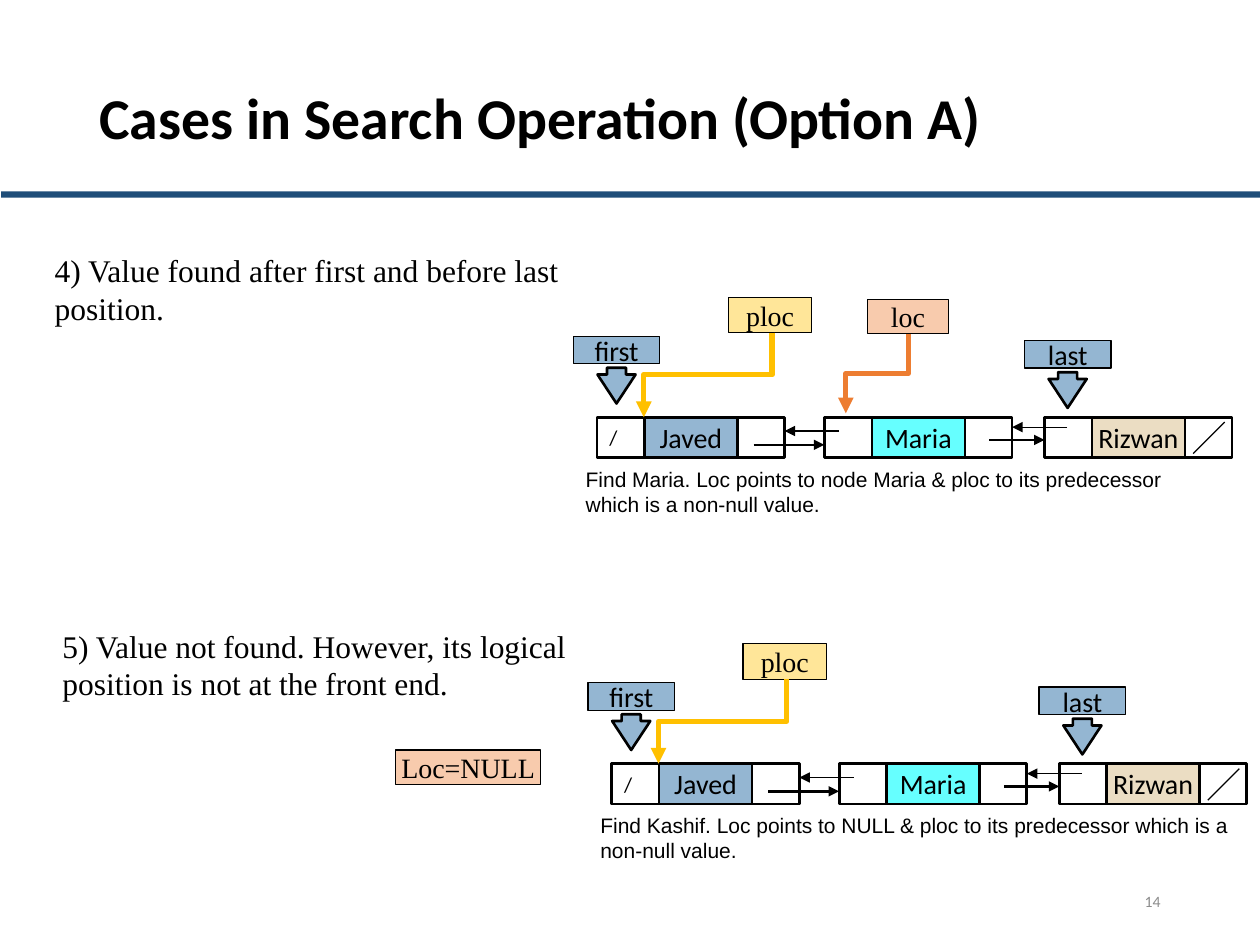
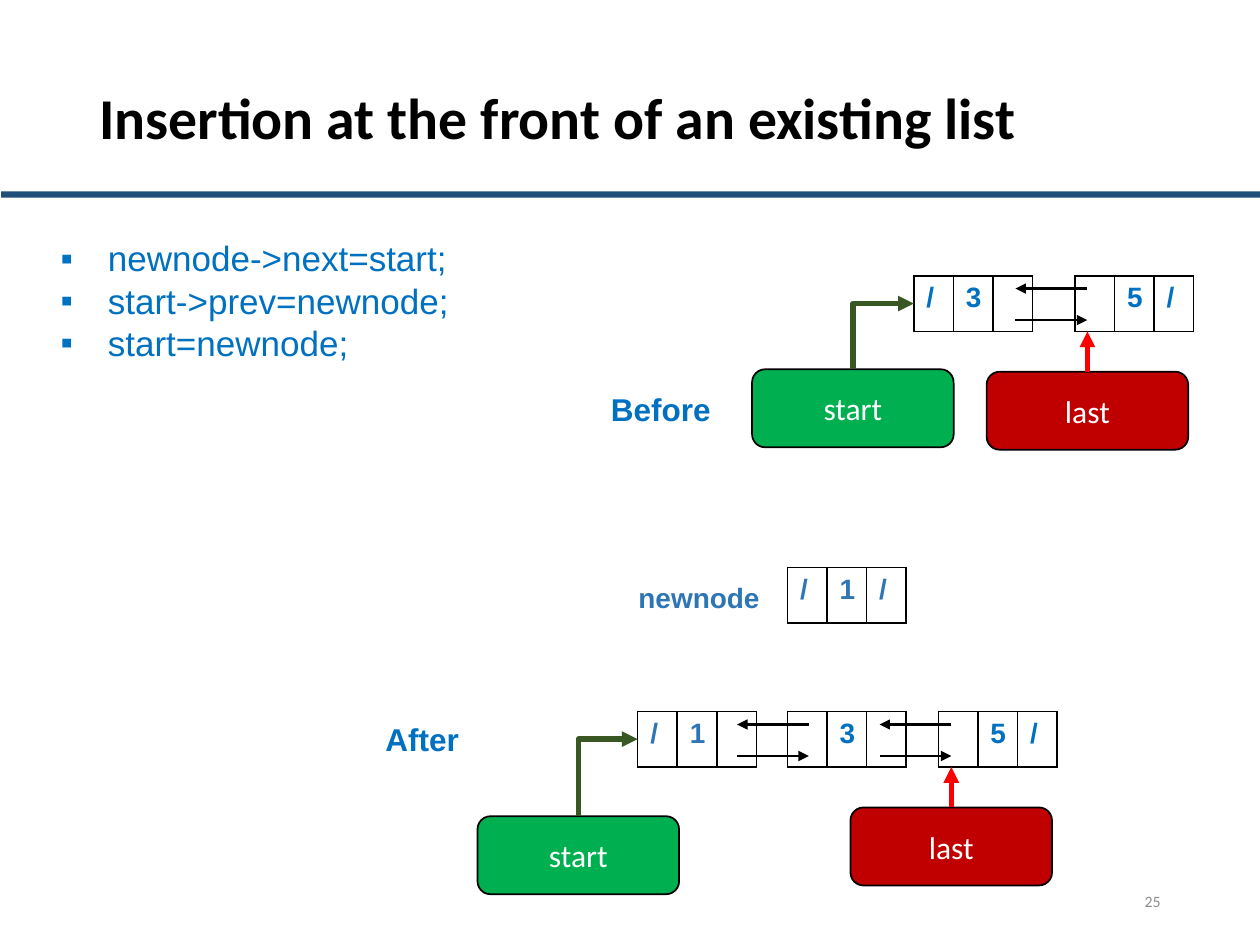
"""Builds two slides on searching and inserting in a doubly linked list."""
from lxml.etree import SubElement
from pptx import Presentation
from pptx.dml.color import RGBColor
from pptx.enum.shapes import MSO_CONNECTOR, MSO_SHAPE
from pptx.enum.text import MSO_ANCHOR, MSO_AUTO_SIZE, PP_ALIGN
from pptx.oxml.ns import qn
from pptx.util import Pt

COLOURS = {
    "black": "000000", "white": "FFFFFF", "grey": "8C8C8C", "band": "1F4E79",
    "steel": "94B6D2", "cyan": "66FFFF", "sand": "EBDDC3",
    "peach": "F8CBAD", "cream": "FFE699", "orange": "ED7D31", "amber": "FFC000",
    "blue": "0070C0", "soft blue": "2E75B6", "green": "00B050",
    "dark green": "385723", "dark red": "C00000", "red": "FF0000",
}
COLOURS = {name: RGBColor.from_string(value) for name, value in COLOURS.items()}
SERIF = "Times New Roman"


def put_box(page, kind, frame, text="", size=16, font="Calibri", fill=None, line=0.75,
            ink="black", align=PP_ALIGN.CENTER, bold=False, wrap=False):
    """Add a preset shape, or a text box when kind is None."""
    frame = [Pt(length) for length in frame]
    if kind is None:
        box = page.shapes.add_textbox(*frame)
    else:
        box = page.shapes.add_shape(kind, *frame)
        box.shadow.inherit = False
        if fill:
            box.fill.solid()
            box.fill.fore_color.rgb = COLOURS[fill]
        else:
            box.fill.background()
        if line:
            box.line.color.rgb = COLOURS["black"]
            box.line.width = Pt(line)
        else:
            box.line.fill.background()
    if text:
        box.text_frame.word_wrap = wrap
        box.text_frame.vertical_anchor = MSO_ANCHOR.MIDDLE
        para = box.text_frame.paragraphs[0]
        para.text = text
        para.alignment = align
        para.font.size = Pt(size)
        para.font.name = font
        para.font.bold = bold
        para.font.color.rgb = COLOURS[ink]
    return box


def draw_line(page, start, end, colour="black", width=1.5, bend=None, head=True):
    """Add a straight line, or an elbow that leaves its start vertically."""
    (x1, y1), (x2, y2) = start, end
    if bend:
        middle_x, middle_y = (x1 + x2) / 2, (y1 + y2) / 2
        run, rise = (y2 - y1) / 2, (x1 - x2) / 2
        x1, y1, x2, y2 = middle_x - run, middle_y - rise, middle_x + run, middle_y + rise
    kind = MSO_CONNECTOR.ELBOW if bend else MSO_CONNECTOR.STRAIGHT
    connector = page.shapes.add_connector(kind, Pt(x1), Pt(y1), Pt(x2), Pt(y2))
    connector.line.color.rgb = COLOURS[colour]
    connector.line.width = Pt(width)
    properties = connector.element.spPr
    if bend:
        properties.find(qn("a:xfrm")).set("rot", "5400000")
        properties.find(qn("a:prstGeom")).set("prst", bend)
    if head:
        SubElement(properties.find(qn("a:ln")), qn("a:tailEnd"), type="triangle")
    SubElement(properties, qn("a:effectLst"))
    return connector


deck = Presentation()
deck.slide_width, deck.slide_height = Pt(720), Pt(540)
search = deck.slides.add_slide(deck.slide_layouts[5])
insertion = deck.slides.add_slide(deck.slide_layouts[1])

band = put_box(search, MSO_SHAPE.RECTANGLE, (0.7, 109.4, 719.3, 3.6), fill="band", line=0)
band.element.nvSpPr.cNvPr.set("id", "20")
deck.slide_master.shapes.element.insert(2, band.element)

for page, heading, number in (
    (search, "Cases in Search Operation (Option A)", "14"),
    (insertion, "Insertion at the front of an existing list", "25"),
):
    title = page.shapes.title
    title.left, title.top, title.width, title.height = Pt(49.5), Pt(28.8), Pt(621), Pt(80.6)
    title.text_frame.text = heading
    title.text_frame.auto_size = MSO_AUTO_SIZE.NONE
    title.text_frame.vertical_anchor = MSO_ANCHOR.MIDDLE
    para = title.text_frame.paragraphs[0]
    para.alignment = PP_ALIGN.LEFT
    para.line_spacing = 0.9
    para.font.size = Pt(33)
    para.font.name = "Calibri"
    para.font.bold = True
    para.font.color.rgb = COLOURS["black"]
    put_box(page, None, (508.3, 500.4, 162, 28.8), number, 9, ink="grey", align=PP_ALIGN.RIGHT)

for left, top, case in (
    (24.2, 139.7, "4) Value found after first and before last position."),
    (28.6, 354.2, "5) Value not found. However, its logical position is not at the front end."),
):
    put_box(search, None, (left, top, 360, 51), case, 18, SERIF, align=PP_ALIGN.LEFT, wrap=True)

for dx, dy, caption in (
    (0, 0, "Find Maria. Loc points to node Maria & ploc to its predecessor "
           "which is a non-null value."),
    (8.4, 198, "Find Kashif. Loc points to NULL & ploc to its predecessor "
               "which is a non-null value."),
):
    put_box(search, None, (327.6 + dx, 262.8 + dy, 376.6, 36), caption, 12, "Arial",
            align=PP_ALIGN.LEFT, wrap=True)
    put_box(search, MSO_SHAPE.RECTANGLE, (416.2 + dx, 169.9 + dy, 47.7, 20.2), "ploc",
            font=SERIF, fill="cream")
    for left, name, fill, previous in (
        (341.2, "Javed", "steel", "/"), (471.2, "Maria", "cyan", ""), (596.9, "Rizwan", "sand", ""),
    ):
        put_box(search, MSO_SHAPE.RECTANGLE, (left + dx, 238.4 + dy, 107.2, 23), previous, 12,
                line=1.5, align=PP_ALIGN.LEFT)
        put_box(search, MSO_SHAPE.RECTANGLE, (left + 27 + dx, 238.4 + dy, 53.2, 23), name,
                fill=fill, line=1.5)
    for left, top, name in ((327.6, 192.1, "first"), (585.4, 194.6, "last")):
        put_box(search, MSO_SHAPE.RECTANGLE, (left + dx, top + dy, 49.5, 15.8), name, fill="steel")
        arrow = put_box(search, MSO_SHAPE.DOWN_ARROW,
                        (left + 13.8 + dx, top + 18.1 + dy, 21.8, 20.4), fill="steel", line=1.5)
        arrow.adjustments[1] = 0.81
    for x1, x2, y, width in (
        (430.6, 471, 254.2, 1.5), (565.2, 596.9, 251.4, 1.5),
        (609.8, 578.4, 244.1, 0.75), (479.5, 448.4, 246.3, 0.75),
    ):
        draw_line(search, (x1 + dx, y + dy), (x2 + dx, y + dy), width=width)
    draw_line(search, (699.8 + dx, 241.2 + dy), (681.8 + dx, 259.2 + dy), width=0.75, head=False)
    draw_line(search, (441.2 + dx, 190 + dy), (367.9 + dx, 238.4 + dy), "amber", 3,
              "bentConnector3")

put_box(search, MSO_SHAPE.RECTANGLE, (495.8, 171.2, 46.2, 19.6), "loc", font=SERIF, fill="peach")
draw_line(search, (519, 190.8), (483.3, 236.2), "orange", 3, "bentConnector3")
put_box(search, MSO_SHAPE.RECTANGLE, (226.1, 428.6, 82.8, 19.6), "Loc=NULL", font=SERIF,
        fill="peach")

steps = insertion.placeholders[1]
steps.left, steps.top, steps.width, steps.height = Pt(27.4), Pt(131.8), Pt(237.6), Pt(80)
steps.text_frame.text = "newnode->next=start;\nstart->prev=newnode;\nstart=newnode;"
steps.text_frame.auto_size = MSO_AUTO_SIZE.NONE
for para in steps.text_frame.paragraphs:
    properties = para._p.get_or_add_pPr()
    properties.set("marL", str(Pt(27)))
    properties.set("indent", str(-Pt(27)))
    SubElement(properties, qn("a:buChar"), char="▪")
    para.space_before = Pt(0)
    para.font.size = Pt(20)
    para.font.name = "Arial"
    para.font.color.rgb = COLOURS["blue"]

for frame, label, size, ink in (
    ((342, 219, 72, 28.8), "Before", 18, "blue"),
    ((213.1, 408, 56.9, 28.8), "After", 18, "blue"),
    ((357.8, 328.3, 84.2, 26.6), "newnode", 16, "soft blue"),
):
    put_box(insertion, None, frame, label, size, "Arial", ink=ink, align=PP_ALIGN.LEFT, bold=True)

for left, top, values, ink in (
    (522.2, 157.7, ("/", "3", ""), "blue"),
    (614.2, 157.7, ("", "5", "/"), "blue"),
    (450, 324.4, ("/", "1", "/"), "soft blue"),
    (364.4, 406.6, ("/", "1", ""), "soft blue"),
    (450, 406.6, ("", "3", ""), "blue"),
    (536.2, 406.6, ("", "5", "/"), "blue"),
):
    node = insertion.shapes.add_table(1, 3, Pt(left), Pt(top), Pt(67.8), Pt(31.7)).table
    node.first_row = node.horz_banding = False
    for column in node.columns:
        column.width = Pt(22.6)
    for cell, value in zip(node.iter_cells(), values):
        cell.fill.background()
        properties = cell._tc.get_or_add_tcPr()
        for index, side in enumerate(("lnL", "lnR", "lnT", "lnB")):
            border = SubElement(properties, qn(f"a:{side}"), w=str(Pt(1)))
            SubElement(SubElement(border, qn("a:solidFill")), qn("a:srgbClr"),
                       val=str(COLOURS["black"]))
            properties.insert(index, border)
        para = cell.text_frame.paragraphs[0]
        para.text = value
        para.alignment = PP_ALIGN.LEFT if value == "/" else PP_ALIGN.CENTER
        para.font.size = Pt(16)
        para.font.name = "Arial"
        para.font.bold = True
        para.font.color.rgb = COLOURS[ink]

for left, top in ((580.3, 164.9), (421.2, 414), (502.6, 414)):
    draw_line(insertion, (left + 41, top), (left, top))
    draw_line(insertion, (left, top + 18), (left + 41, top + 18))

for start_left, start_top, first_node, last_left, last_top, node_bottom in (
    (429.8, 211, (522.2, 173.5), 563.8, 212.4, 189.4),
    (272.9, 466.4, (364.4, 422.4), 486, 461.4, 438.3),
):
    put_box(insertion, MSO_SHAPE.ROUNDED_RECTANGLE, (start_left, start_top, 115.2, 44.6),
            "start", 18, fill="green", line=1, ink="white")
    draw_line(insertion, (start_left + 57.6, start_top), first_node, "dark green", 3,
              "bentConnector2")
    last = put_box(insertion, MSO_SHAPE.ROUNDED_RECTANGLE, (last_left, last_top, 115.2, 44.6),
                   "last", 18, fill="dark red", line=1, ink="white")
    middle = last_left + 57.6
    pointer = draw_line(insertion, (middle, last_top), (middle, node_bottom), "red", 3)
    pointer.begin_connect(last, 0)

deck.save("out.pptx")
